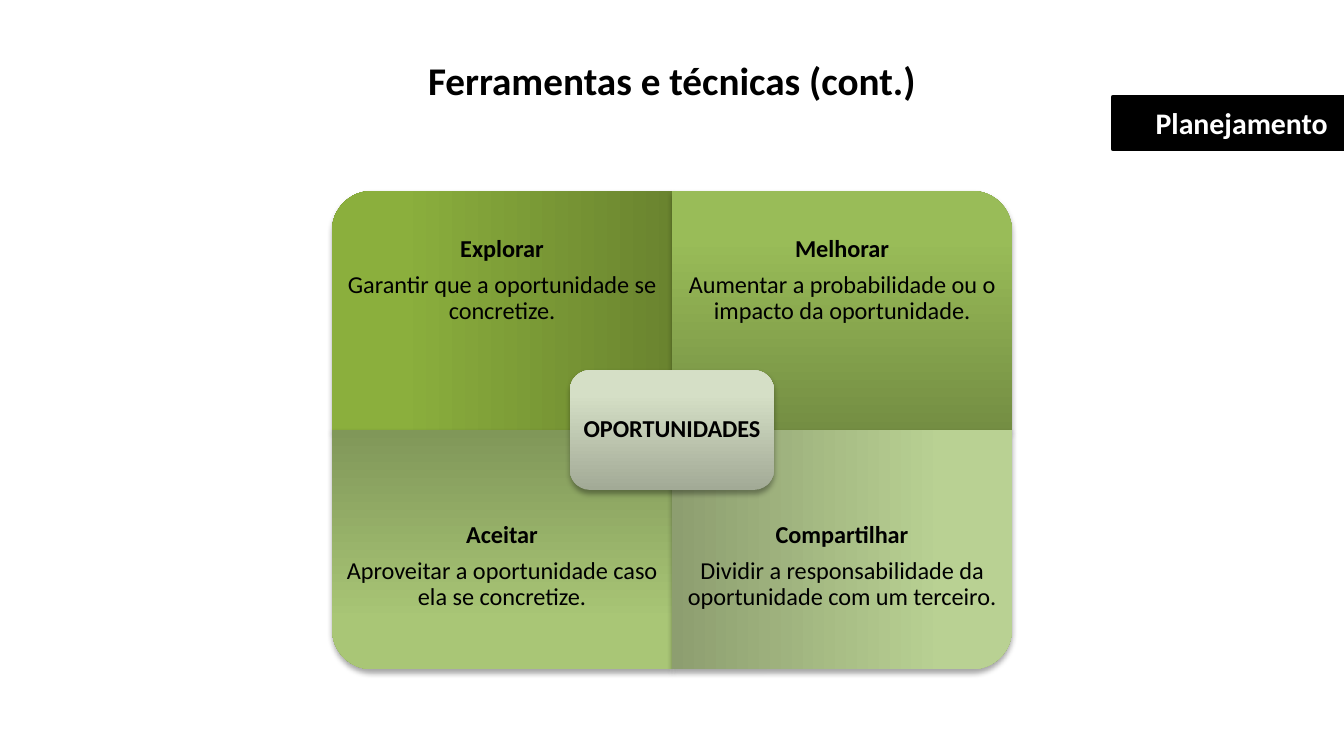
import pptx
import pptx.util
import pptx.dml.color
import pptx.enum.shapes
import pptx.enum.text
from lxml import etree

TITLE = "Ferramentas e técnicas (cont.)"
PHASE = "Planejamento"
HUB = "OPORTUNIDADES"
RESPONSES = [
    {"name": "Explorar", "detail": "Garantir que a oportunidade se concretize.",
     "col": 0, "row": 0, "turn": 270, "shades": ("6A842F", "8BAF3D", "8DB23B")},
    {"name": "Melhorar", "detail": "Aumentar a probabilidade ou o impacto da oportunidade.",
     "col": 1, "row": 0, "turn": 0, "shades": ("748E43", "99BC58", "9BBE57")},
    {"name": "Aceitar", "detail": "Aproveitar a oportunidade caso ela se concretize.",
     "col": 0, "row": 1, "turn": 180, "shades": ("809759", "A9C676", "AAC876")},
    {"name": "Compartilhar", "detail": "Dividir a responsabilidade da oportunidade com um terceiro.",
     "col": 1, "row": 1, "turn": 90, "shades": ("8D9E70", "B9D193", "BAD393")},
]
THEME = {"font": "Calibri", "ink": "000000", "paper": "FFFFFF",
         "hub": ("A2AA96", "D5DFC6", "D6E1C6"),
         "title": 21, "phase": 16, "body": 13, "corner": 0.167}

WIDTH = 10
HEIGHT = WIDTH * 9 / 16
CENTER_X, CENTER_Y = WIDTH / 2, 3.2
CELL_W, CELL_H = 2.53, 1.78
TEXT_H = CELL_H * 0.75
HEADER_INSETS = (0.12, 0.06, 0.12, 0.06)
LOWER_LIFT = 0.19

SHAPES = pptx.enum.shapes.MSO_SHAPE
ALIGN = pptx.enum.text.PP_ALIGN
ANCHOR = pptx.enum.text.MSO_ANCHOR
DRAWING = "http://schemas.openxmlformats.org/drawingml/2006/main"


def inches(*lengths):
    return [pptx.util.Inches(length) for length in lengths]


def color(code):
    return pptx.dml.color.RGBColor.from_string(code)


def write(part, lines, size, ink, insets, anchor, align, spacing=None, wrap=True):
    frame = part.text_frame
    frame.text = "\n".join(lines)
    frame.word_wrap = wrap
    frame.vertical_anchor = anchor
    (frame.margin_left, frame.margin_top,
     frame.margin_right, frame.margin_bottom) = inches(*insets)
    for index, paragraph in enumerate(frame.paragraphs):
        paragraph.alignment = align
        if spacing:
            paragraph.line_spacing = spacing
        if index:
            paragraph.space_before = pptx.util.Pt(5)
        for run in paragraph.runs:
            run.font.name = THEME["font"]
            run.font.size = pptx.util.Pt(size)
            run.font.bold = index == 0
            run.font.color.rgb = color(ink)


def add_tile(slide, kind, width, height, center_x, center_y, shades, turn=0):
    tile = slide.shapes.add_shape(
        kind, *inches(center_x - width / 2, center_y - height / 2, width, height))
    tile.adjustments[0] = THEME["corner"]
    tile.rotation = turn
    tile.line.fill.background()
    stops = "".join(f'<a:gs pos="{place}"><a:srgbClr val="{shade}"/></a:gs>'
                    for place, shade in zip((0, 80000, 100000), shades))
    gradient = etree.fromstring(
        f'<a:gradFill xmlns:a="{DRAWING}" rotWithShape="1"><a:gsLst>{stops}</a:gsLst>'
        '<a:lin ang="16200000" scaled="0"/></a:gradFill>')
    shadow = etree.fromstring(
        f'<a:effectLst xmlns:a="{DRAWING}"><a:outerShdw blurRad="39370" dist="22860" '
        'dir="5400000" rotWithShape="0"><a:srgbClr val="000000"><a:alpha val="35000"/>'
        '</a:srgbClr></a:outerShdw></a:effectLst>')
    outline = tile.line._ln
    outline.addprevious(gradient)
    outline.addnext(shadow)
    return tile


def add_header(slide):
    title = slide.shapes.add_textbox(*inches(0, 0.36, WIDTH, 0.48))
    write(title, [TITLE], THEME["title"], THEME["ink"], HEADER_INSETS, ANCHOR.TOP, ALIGN.CENTER)
    phase = slide.shapes.add_shape(SHAPES.RECTANGLE, *inches(8.28, 0.72, 1.72, 0.39))
    phase.shadow.inherit = False
    phase.fill.solid()
    phase.fill.fore_color.rgb = color(THEME["ink"])
    phase.line.color.rgb = color(THEME["ink"])
    phase.line.width = pptx.util.Pt(2)
    write(phase, [PHASE], THEME["phase"], THEME["paper"], HEADER_INSETS,
          ANCHOR.MIDDLE, ALIGN.RIGHT)


def add_response(slide, response):
    col, row, turn = response["col"], response["row"], response["turn"]
    left = CENTER_X + (col - 1) * CELL_W
    top = CENTER_Y + (row - 1) * CELL_H
    size = (CELL_H, CELL_W) if turn % 180 else (CELL_W, CELL_H)
    add_tile(slide, SHAPES.ROUND_1_RECTANGLE, *size, left + CELL_W / 2, top + CELL_H / 2,
             response["shades"], turn)
    caption = slide.shapes.add_textbox(
        *inches(left, top + row * (CELL_H - TEXT_H), CELL_W, TEXT_H))
    write(caption, [response["name"], response["detail"]], THEME["body"], THEME["ink"],
          (0.1, 0.1, 0.1, 0.1 + row * LOWER_LIFT), ANCHOR.MIDDLE, ALIGN.CENTER, 0.9)


def main():
    deck = pptx.Presentation()
    deck.slide_width, deck.slide_height = inches(WIDTH, HEIGHT)
    slide = deck.slides.add_slide(deck.slide_layouts[6])
    add_header(slide)
    for response in RESPONSES:
        add_response(slide, response)
    hub = add_tile(slide, SHAPES.ROUNDED_RECTANGLE, CELL_W * 0.6, CELL_H * 0.5,
                   CENTER_X, CENTER_Y, THEME["hub"])
    write(hub, [HUB], THEME["body"], THEME["ink"], (0.05,) * 4,
          ANCHOR.MIDDLE, ALIGN.CENTER, 0.9, wrap=False)
    deck.save("out.pptx")


if __name__ == "__main__":
    main()
